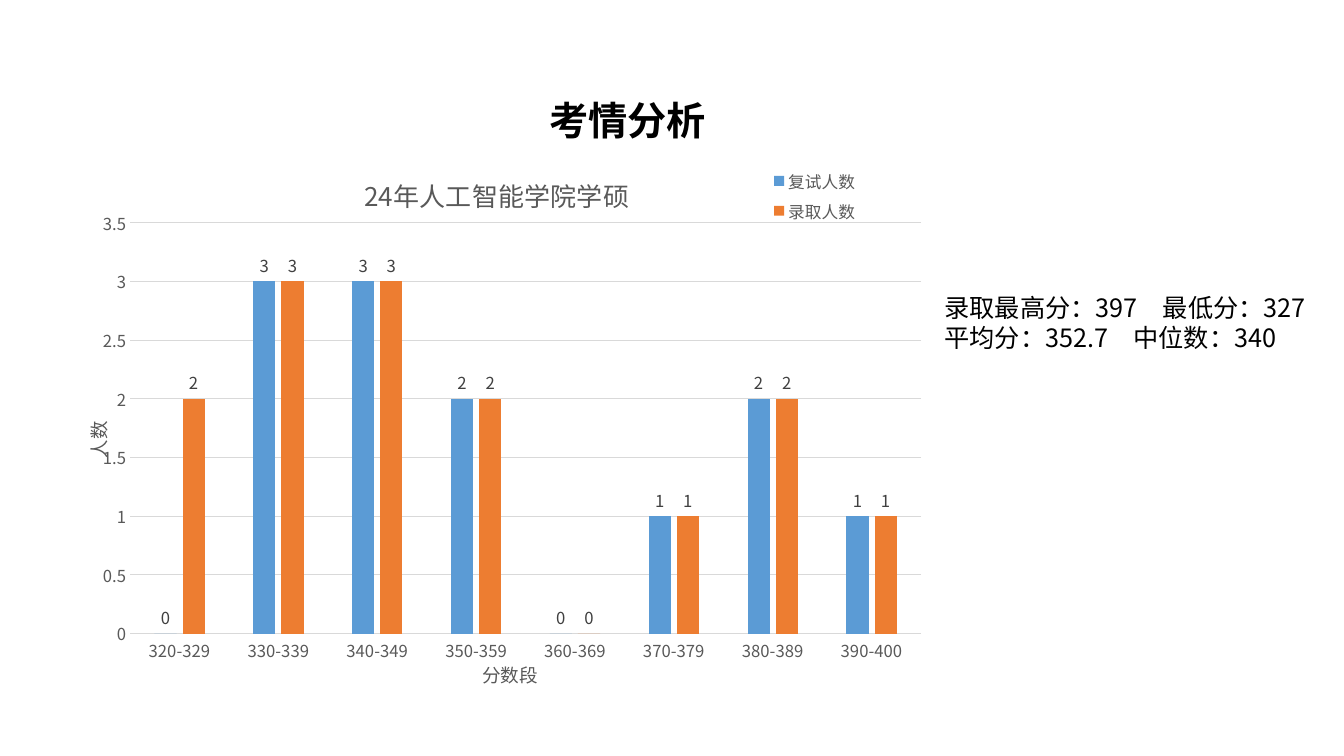
"""Build the exam analysis slide with a clustered column chart."""
from lxml.etree import SubElement
from pptx import Presentation
from pptx.chart.data import CategoryChartData
from pptx.dml.color import RGBColor
from pptx.enum.chart import XL_CHART_TYPE, XL_LABEL_POSITION, XL_LEGEND_POSITION, XL_TICK_MARK
from pptx.enum.text import PP_ALIGN
from pptx.oxml import parse_xml
from pptx.oxml.ns import nsdecls, qn
from pptx.util import Inches, Pt

HEADING = "考情分析"
SUMMARY = ["录取最高分：397　最低分：327", "平均分：352.7　中位数：340"]
CHART_TITLE = "24年人工智能学院学硕"
CATEGORY_TITLE, VALUE_TITLE = "分数段", "人数"
SCORE_BANDS = ["320-329", "330-339", "340-349", "350-359",
               "360-369", "370-379", "380-389", "390-400"]
BLACK = RGBColor(0x00, 0x00, 0x00)
GRAY = RGBColor(0x59, 0x59, 0x59)
LABEL_GRAY = RGBColor(0x40, 0x40, 0x40)
GRID_GRAY = RGBColor(0xD9, 0xD9, 0xD9)
BLUE = RGBColor(0x5B, 0x9B, 0xD5)
ORANGE = RGBColor(0xED, 0x7D, 0x31)
SERIES = [
    ("复试人数", [0, 3, 3, 2, 0, 1, 2, 1], BLUE),
    ("录取人数", [2, 3, 3, 2, 0, 1, 2, 1], ORANGE),
]
SANS = "Noto Sans CJK SC"
CHART_TEXT_SIZE = 11.9


def format_font(font, size=CHART_TEXT_SIZE, color=GRAY, name=SANS, bold=False):
    font.size = Pt(size)
    font.color.rgb = color
    font.name = name
    font.bold = bold


def write_text(frame, lines, align=None, **font_format):
    for index, line in enumerate(lines):
        paragraph = frame.add_paragraph() if index else frame.paragraphs[0]
        if align is not None:
            paragraph.alignment = align
        run = paragraph.add_run()
        run.text = line
        format_font(run.font, **font_format)
        east_asian = SubElement(run.font._element, qn("a:ea"))
        east_asian.set("typeface", SANS)


def add_text_box(slide, box, lines, **text_format):
    frame = slide.shapes.add_textbox(*map(Inches, box)).text_frame
    frame.word_wrap = True
    write_text(frame, lines, **text_format)


def place(element, position, **settings):
    """Give a chart part a manual layout in fractions of the chart."""
    for layout in element.findall(qn("c:layout")):
        element.remove(layout)
    layout = parse_xml(f'<c:layout {nsdecls("c")}><c:manualLayout/></c:layout>')
    for tag, value in settings.items():
        SubElement(layout[0], qn(f"c:{tag}")).set("val", str(value))
    element.insert(position, layout)


def style_axis(axis, title, left, top):
    axis.major_tick_mark = axis.minor_tick_mark = XL_TICK_MARK.NONE
    format_font(axis.tick_labels.font)
    write_text(axis.axis_title.text_frame, [title], size=13.3)
    place(axis.axis_title._element, 1, xMode="edge", yMode="edge", x=left, y=top)


def style_line(line):
    line.color.rgb = GRID_GRAY
    line.width = Pt(0.75)


def add_score_chart(slide):
    data = CategoryChartData()
    data.categories = SCORE_BANDS
    for name, values, _ in SERIES:
        data.add_series(name, values)
    box = map(Inches, (0.7, 1.46, 8.44, 5.42))
    chart = slide.shapes.add_chart(XL_CHART_TYPE.COLUMN_CLUSTERED, *box, data).chart
    format_font(chart.font, size=10, color=BLACK)

    write_text(chart.chart_title.text_frame, [CHART_TITLE], size=18.6)
    place(chart.chart_title._element, 1, xMode="edge", yMode="edge", x=0.34, y=0.04)

    chart.has_legend = True
    chart.legend.position = XL_LEGEND_POSITION.BOTTOM
    chart.legend.include_in_layout = False
    format_font(chart.legend.font)
    place(chart.legend._element, 1, xMode="edge", yMode="edge",
          x=0.82, y=0.03, w=0.11, h=0.12)

    style_axis(chart.category_axis, CATEGORY_TITLE, 0.48, 0.94)
    style_line(chart.category_axis.format.line)
    value_axis = chart.value_axis
    style_axis(value_axis, VALUE_TITLE, 0.01, 0.5)
    value_axis.axis_title.text_frame._txBody.bodyPr.set("rot", "-5400000")
    value_axis.minimum_scale, value_axis.maximum_scale = 0, 3.5
    value_axis.major_unit = 0.5
    value_axis.format.line.fill.background()
    style_line(value_axis.major_gridlines.format.line)

    plot = chart.plots[0]
    plot.gap_width, plot.overlap = 219, -27
    plot.vary_by_categories = False
    for series, (_, _, color) in zip(plot.series, SERIES):
        series.format.fill.solid()
        series.format.fill.fore_color.rgb = color
        labels = series.data_labels
        labels.show_value = True
        labels.position = XL_LABEL_POSITION.OUTSIDE_END
        format_font(labels.font, color=LABEL_GRAY)
    plot_area = chart._chartSpace.chart.plotArea
    place(plot_area, 0, layoutTarget="inner", xMode="edge", yMode="edge",
          x=0.07, y=0.14, w=0.93, h=0.76)


def main():
    presentation = Presentation()
    presentation.slide_width = Inches(13.33)
    presentation.slide_height = Inches(7.5)
    slide = presentation.slides.add_slide(presentation.slide_layouts[6])
    add_text_box(slide, (3.56, 0.91, 5.33, 0.57), [HEADING], align=PP_ALIGN.CENTER,
                 size=28, color=BLACK, name="Arial", bold=True)
    add_text_box(slide, (9.27, 2.85, 4.2, 0.71), SUMMARY, size=18, color=BLACK)
    add_score_chart(slide)
    presentation.save("out.pptx")


if __name__ == "__main__":
    main()
